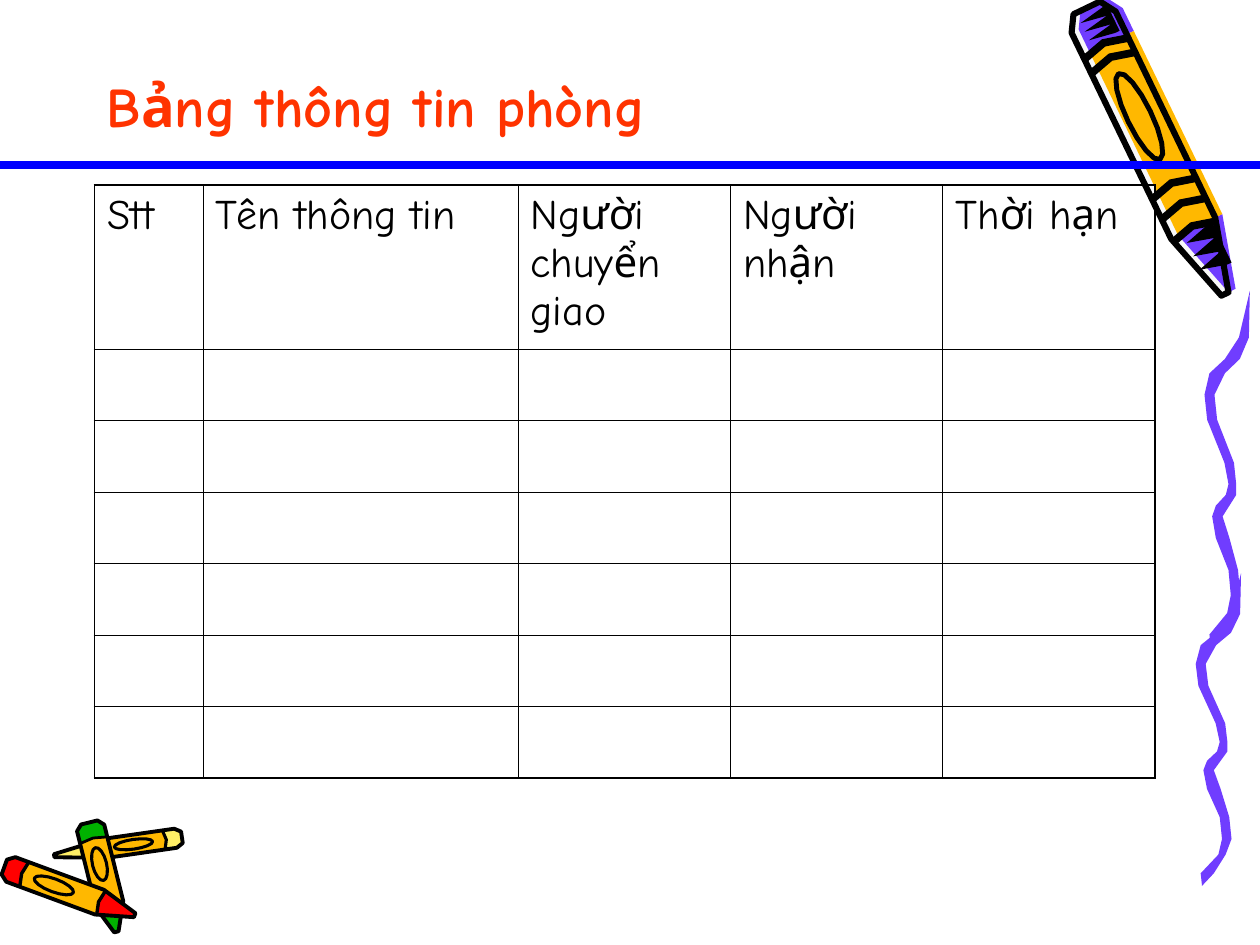
from dataclasses import dataclass
from math import cos, hypot, pi, sin

from lxml.etree import SubElement
from pptx import Presentation
from pptx.dml.color import RGBColor
from pptx.enum.shapes import MSO_CONNECTOR
from pptx.enum.text import MSO_ANCHOR
from pptx.oxml.ns import qn
from pptx.util import Pt


@dataclass(frozen=True)
class Theme:
    font: str = "Comic Neue"
    title_size: int = 32
    cell_size: int = 24
    title: str = "FF3300"
    ink: str = "000000"
    rule: str = "0000FF"
    violet: str = "703DFF"
    orange: str = "FFB800"
    yellow: str = "FFEF66"
    red: str = "FF0000"
    green: str = "00B200"
    paper: str = "F8F8F8"


@dataclass(frozen=True)
class Crayon:
    """Bands and teeth are fractions of the length; the first and last band bound the wrapper."""
    blunt: tuple
    tip: tuple
    width: float
    color: str
    bands: tuple
    outline: float = 2.2
    color_shift: float = 0
    teeth: tuple = ()

    def place(self, along, across):
        """Turn fractions of length and width (0 is the axis) into a point on the page."""
        dx, dy = self.tip[0] - self.blunt[0], self.tip[1] - self.blunt[1]
        offset = across * self.width / hypot(dx, dy)
        return self.blunt[0] + along * dx + offset * dy, self.blunt[1] + along * dy - offset * dx


THEME = Theme()

TITLE = "Bảng thông tin phòng"
HEADERS = ["Stt", "Tên thông tin", "Người chuyển giao", "Người nhận", "Thời hạn"]
COLUMN_WIDTHS = [62, 180, 121.4, 121.4, 121.4]
ROW_HEIGHTS = [93.6] + [40.85] * 6
OUTER_BORDER, INNER_BORDER = 1.08, 0.45

CRAYONS = [
    Crayon((621, 4.5), (700, 168), 28, THEME.violet, (0.13, 0.18, 0.62, 0.69, 0.77),
           outline=3.5, color_shift=0.16, teeth=((0.02, 0.11), (0.78, 0.92))),
    Crayon((104, 478.5), (31, 489), 11, THEME.yellow, (0.13, 0.6)),
    Crayon((51, 470), (66.5, 532.5), 16, THEME.green, (0.15, 0.75)),
    Crayon((2.5, 495.5), (77, 523), 15, THEME.red, (0.14, 0.73)),
]

# The ribbon's left and right edge at each depth, in percent of its box.
RIBBON = [
    (0, 100, 100), (13, 76, 98), (19, 45, 78), (23, 11, 45), (29, 0, 22), (36, 6, 28),
    (48, 44, 65), (54, 53, 70), (57, 47, 70), (60, 25, 55), (63, 17, 40), (69, 25, 55),
    (78, 53, 74), (85, 58, 79), (90, 50, 66), (96, 11, 40), (100, 14, 14),
]
RIBBON_BOXES = [(683.3, 327.6, 25.9, 178.6), (688.3, 166.3, 25.9, 204.5)]


def add_outline(page, points, *, fill=None, line=None, width=0):
    corners = [(Pt(x), Pt(y)) for x, y in points]
    builder = page.shapes.build_freeform(*corners[0])
    builder.add_line_segments(corners[1:], close=True)
    shape = builder.convert_to_shape()
    shape.shadow.inherit = False
    for paint, color in ((shape.fill, fill), (shape.line.fill, line)):
        if color:
            paint.solid()
            paint.fore_color.rgb = RGBColor.from_string(color)
        else:
            paint.background()
    if line:
        shape.line.width = Pt(width)


def mirrored(half):
    """Close a half outline, listed from the blunt end to the tip, along the crayon's axis."""
    return half + [(along, -across) for along, across in reversed(half)]


def band(along, bulge=0.02, thickness=0.025):
    front = [(along, -0.5), (along - bulge, 0), (along, 0.5)]
    return front + [(u + thickness, v) for u, v in reversed(front)]


def oval(center=0.38, length=0.3, breadth=0.5, steps=16):
    angles = [2 * pi * step / steps for step in range(steps)]
    return [(center + length / 2 * cos(a), breadth / 2 * sin(a)) for a in angles]


def teeth(first, last, count=3, edge=0.3, depth=0.55):
    """A strip of shading that starts at one edge and ends in points across the crayon."""
    pitch = (last - first) / count
    zigzag = [(first + pitch * step / 2, edge - depth * (step % 2)) for step in range(2 * count + 1)]
    return zigzag + [(last, edge + 0.1), (first, edge + 0.1)]


def add_crayon(page, crayon):
    def draw(part, shift=0, **look):
        add_outline(page, [crayon.place(u, v + shift) for u, v in part], **look)

    cap_end, shoulder = crayon.bands[0], crayon.bands[-1]
    cap = [(0, 0.3), (0.05, 0.5)]
    point = [(shoulder, 0.5), (1, 0.08)]
    silhouette = mirrored(cap + point)
    shift = crayon.color_shift

    draw(silhouette, fill=THEME.paper)
    draw(mirrored(cap + [(cap_end, 0.5)]), shift, fill=crayon.color)
    draw(mirrored(point), shift, fill=crayon.color)
    draw(mirrored([(cap_end, 0.5), (shoulder, 0.5)]), shift, fill=THEME.orange)
    for along in crayon.bands:
        draw(band(along), fill=THEME.ink)
    for first, last in crayon.teeth:
        draw(teeth(first, last), fill=THEME.ink)
    draw(oval(), line=THEME.ink, width=crayon.outline * 0.8)
    draw(silhouette, line=THEME.ink, width=crayon.outline)


def add_ribbon(page, left, top, width, height):
    left_edge = [(near, depth) for depth, near, far in RIBBON]
    right_edge = [(far, depth) for depth, near, far in reversed(RIBBON)]
    add_outline(page, [(left + width * x / 100, top + height * y / 100)
                       for x, y in left_edge + right_edge], fill=THEME.violet)


def add_rule(page, height, width):
    line = page.shapes.add_connector(MSO_CONNECTOR.STRAIGHT, Pt(0), Pt(height), Pt(720), Pt(height))
    line.line.color.rgb = RGBColor.from_string(THEME.rule)
    line.line.width = Pt(width)
    SubElement(line._element.spPr, qn("a:effectLst"))


def write(frame, text, *, size, color, bold=False, space_before=0):
    para = frame.paragraphs[0]
    para.space_before = Pt(space_before)
    span = para.add_run()
    span.text = text
    span.font.name = THEME.font
    span.font.size = Pt(size)
    span.font.bold = bold
    span.font.color.rgb = RGBColor.from_string(color)


def set_borders(cell, outer_sides):
    """Draw all four sides, with the heavier line on the table's outer edge."""
    properties = cell._tc.get_or_add_tcPr()
    for side, is_outer in outer_sides.items():
        width = OUTER_BORDER if is_outer else INNER_BORDER
        border = SubElement(properties, qn(f"a:ln{side}"), w=str(Pt(width)))
        SubElement(SubElement(border, qn("a:solidFill")), qn("a:srgbClr"), val=THEME.ink)


def add_information_table(page, left, top):
    rows, columns = len(ROW_HEIGHTS), len(COLUMN_WIDTHS)
    table = page.shapes.add_table(rows, columns, Pt(left), Pt(top), Pt(sum(COLUMN_WIDTHS)),
                                  Pt(sum(ROW_HEIGHTS))).table
    table.first_row = table.horz_banding = False
    for column, width in zip(table.columns, COLUMN_WIDTHS):
        column.width = Pt(width)
    for r, height in enumerate(ROW_HEIGHTS):
        table.rows[r].height = Pt(height)
        for c in range(columns):
            cell = table.cell(r, c)
            set_borders(cell, {"L": c == 0, "R": c == columns - 1, "T": r == 0, "B": r == rows - 1})
            cell.fill.background()
    for c, header in enumerate(HEADERS):
        write(table.cell(0, c).text_frame, header, size=THEME.cell_size, color=THEME.ink,
              space_before=6)


def add_title(page):
    box = page.shapes.add_textbox(Pt(54), Pt(12), Pt(629), Pt(71))
    box.text_frame.word_wrap = True
    box.text_frame.vertical_anchor = MSO_ANCHOR.BOTTOM
    write(box.text_frame, TITLE, size=THEME.title_size, color=THEME.title, bold=True)


def main():
    deck = Presentation()
    deck.slide_width, deck.slide_height = Pt(720), Pt(540)
    page = deck.slides.add_slide(deck.slide_layouts[6])
    for crayon in CRAYONS:
        add_crayon(page, crayon)
    for ribbon_box in RIBBON_BOXES:
        add_ribbon(page, *ribbon_box)
    add_rule(page, 94.3, 4.5)
    add_title(page)
    add_information_table(page, 54, 105.8)
    deck.save("out.pptx")


if __name__ == "__main__":
    main()
